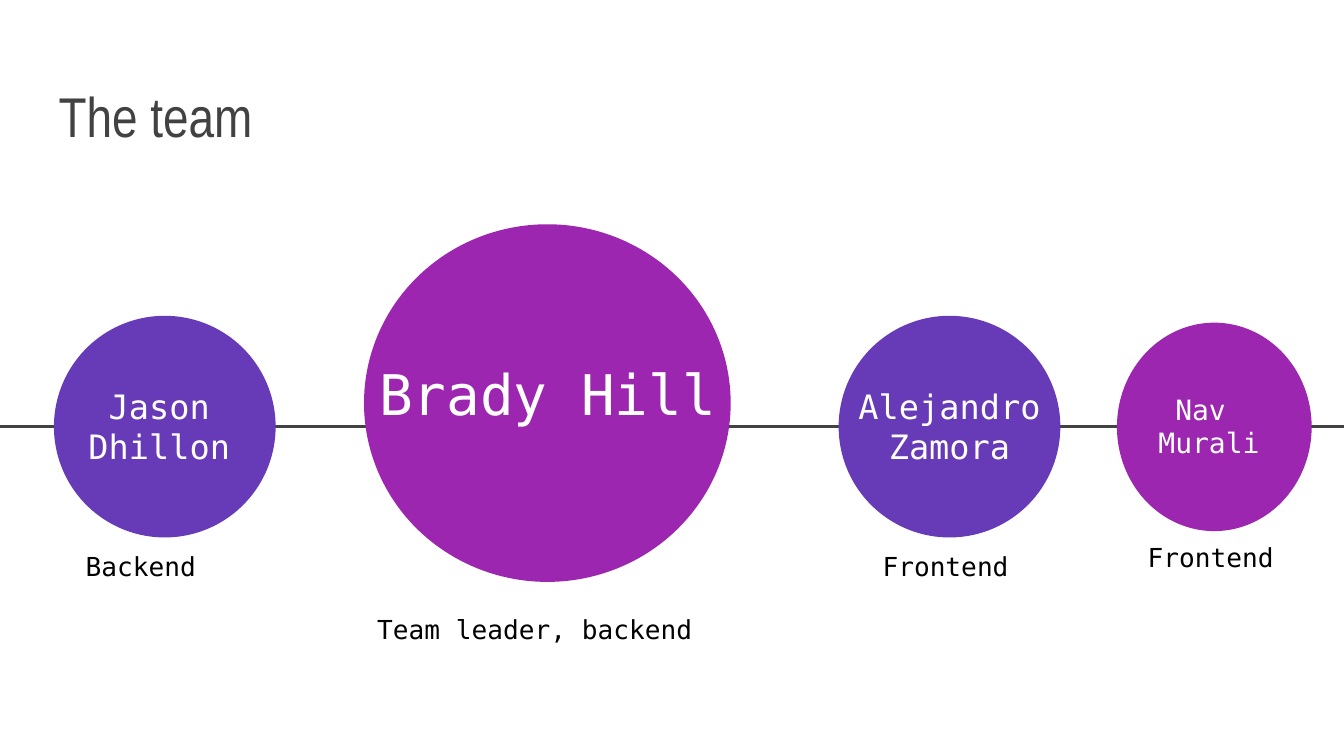
from lxml.etree import SubElement
from pptx import Presentation
from pptx.dml.color import RGBColor
from pptx.enum.shapes import MSO_CONNECTOR, MSO_SHAPE
from pptx.enum.text import MSO_ANCHOR, PP_ALIGN
from pptx.oxml.ns import qn
from pptx.util import Cm, Pt

INK = {"grey": "424242", "blue": "673AB7", "pink": "9C26B0",
       "white": "FFFFFF", "black": "000000"}
MONO = "DejaVu Sans Mono"

# name, size, name box, circle colour, circle box, role, role box
# (boxes are left, top, width, height in cm)
TEAM = [
    ("Jason Dhillon", 18, (1.17, 7.21, 3.68, 1.68),
     "blue", (1.02, 5.97, 4.19, 4.19),
     "Backend", (1.37, 10.16, 3.51, 0.76)),
    ("Brady Hill", 30, (6.25, 6.6, 8.2, 1.68),
     "pink", (6.88, 4.24, 6.93, 6.76),
     "Team leader, backend", (6.88, 11.35, 8.08, 0.76)),
    ("Alejandro Zamora", 18, (15.85, 7.21, 4.19, 1.68),
     "blue", (15.85, 5.97, 4.19, 4.19),
     "Frontend", (16.43, 10.16, 3.02, 0.76)),
    ("Nav \nMurali", 15, (21.44, 7.21, 2.82, 1.68),
     "pink", (21.11, 6.1, 3.68, 3.94),
     "Frontend", (21.44, 10.16, 3.02, 0.33)),
]


def rgb(name):
    return RGBColor.from_string(INK[name])


def add_text(slide, text, box, size=14, font=MONO, ink="black",
             align=PP_ALIGN.LEFT, anchor=MSO_ANCHOR.TOP):
    """Add a text box with one paragraph for each line of text."""
    frame = slide.shapes.add_textbox(*map(Cm, box)).text_frame
    frame.word_wrap = True
    frame.vertical_anchor = anchor
    frame.margin_left = frame.margin_right = Cm(0.25)
    frame.margin_top = frame.margin_bottom = Cm(0.25)
    frame.text = text
    for para in frame.paragraphs:
        para.alignment = align
        face = para.runs[0].font
        face.size, face.name = Pt(size), font
        face.color.rgb = rgb(ink)


def add_disc(slide, box, ink):
    disc = slide.shapes.add_shape(MSO_SHAPE.OVAL, *map(Cm, box))
    disc.shadow.inherit = False
    disc.fill.solid()
    disc.fill.fore_color.rgb = rgb(ink)
    disc.line.fill.background()


def add_line(slide, x1, y1, x2, y2):
    line = slide.shapes.add_connector(
        MSO_CONNECTOR.STRAIGHT, *map(Cm, (x1, y1, x2, y2)))
    line.line.color.rgb = rgb("grey")
    line.line.width = Pt(1.5)
    SubElement(line._element.spPr, qn("a:effectLst"))


def main():
    deck = Presentation()
    deck.slide_width, deck.slide_height = Cm(25.4), Cm(14.29)
    slide = deck.slides.add_slide(deck.slide_layouts[6])

    add_line(slide, 0, 8.06, 25.4, 8.06)
    add_text(slide, "The team", (0.86, 1.04, 23.67, 2.03), size=30,
             font="Arial Narrow", ink="grey", anchor=MSO_ANCHOR.BOTTOM)
    for name, size, spot, ink, disc, role, place in TEAM:
        add_disc(slide, disc, ink)
        add_text(slide, name, spot, size=size, ink="white",
                 align=PP_ALIGN.CENTER, anchor=MSO_ANCHOR.MIDDLE)
        add_text(slide, role, place)

    deck.save("out.pptx")


if __name__ == "__main__":
    main()
